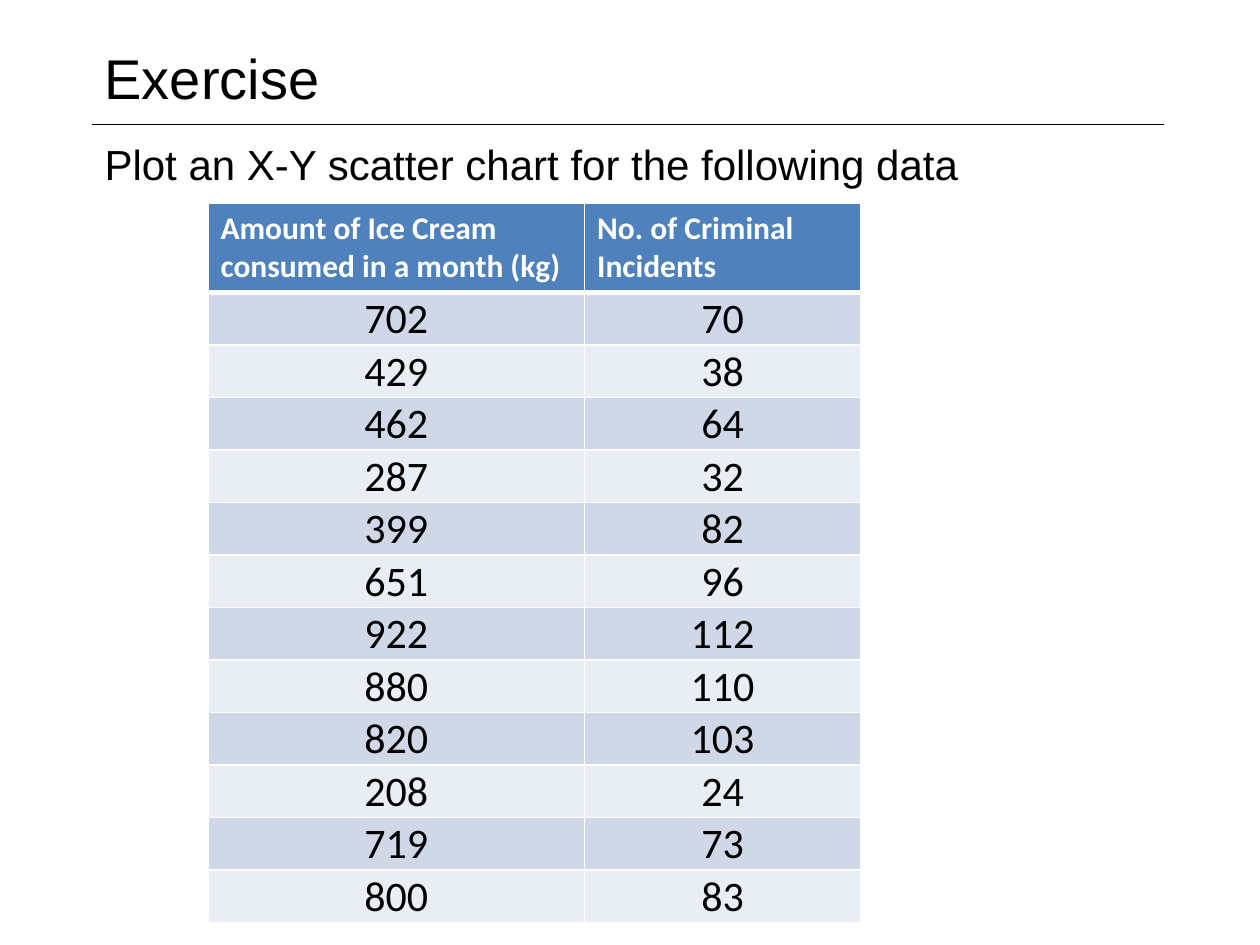
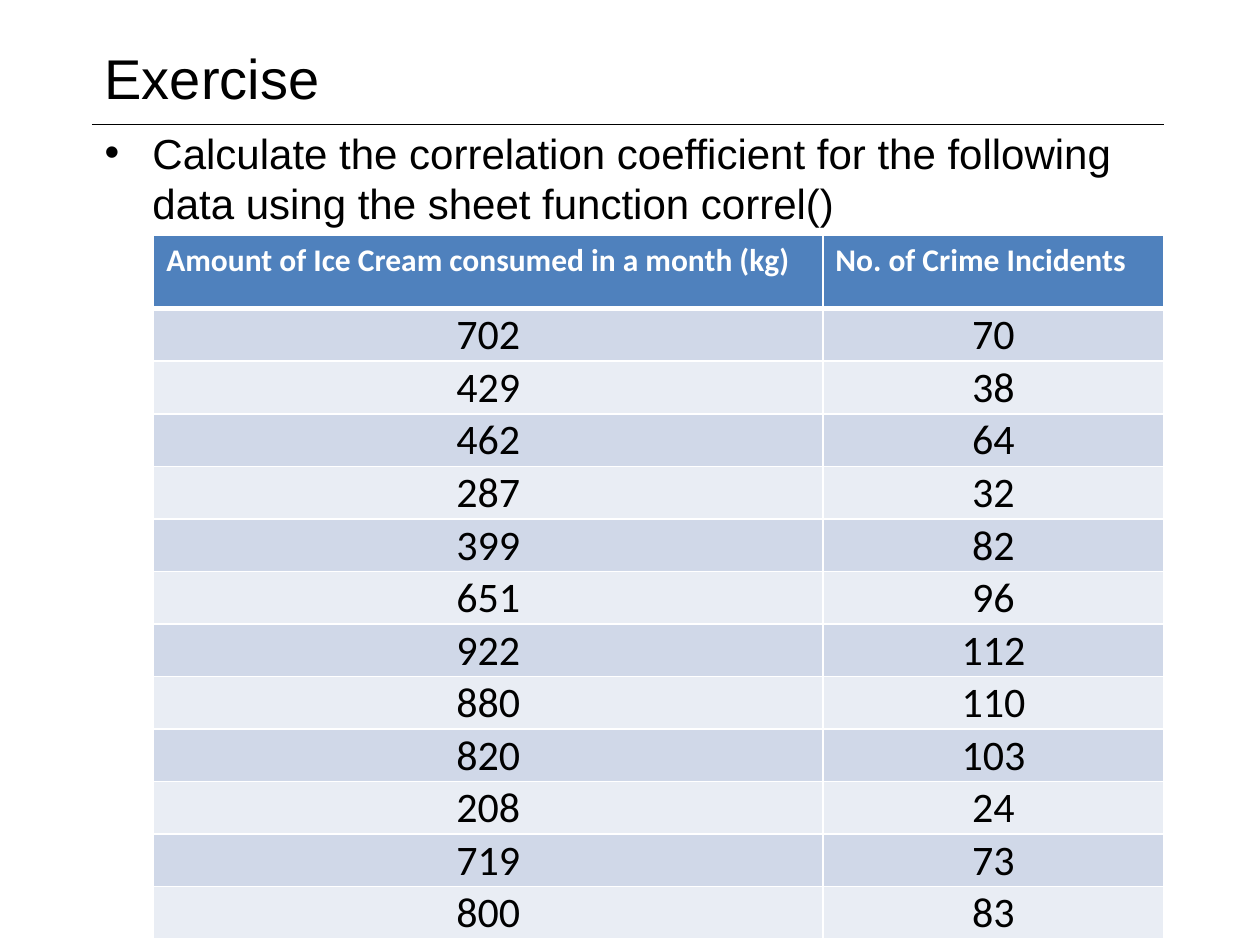
from dataclasses import dataclass

from lxml.etree import SubElement as Sub
from pptx import Presentation
from pptx.dml.color import RGBColor as RGB
from pptx.enum.shapes import MSO_CONNECTOR as Conn
from pptx.enum.text import MSO_ANCHOR as Anchor, MSO_AUTO_SIZE as Fit, PP_ALIGN as Align
from pptx.oxml.ns import qn
from pptx.util import Inches, Pt


@dataclass(frozen=True)
class Theme:
    ink: str = "000000"
    paper: str = "FFFFFF"
    head: str = "4F81BD"
    bands: tuple = ("D0D8E8", "E9EDF4")
    sans: str = "Arial"
    grid: str = "Calibri"
    title: int = 32
    body: int = 24
    label: int = 18
    rule: float = 0.25
    thin: int = 1
    thick: int = 3


T = Theme()
LEFT, RIGHT, RULE_Y = 0.73, 9.24, 0.99
ROW = 0.41

DATA = [
    (702, 70), (429, 38), (462, 64), (287, 32), (399, 82), (651, 96),
    (922, 112), (880, 110), (820, 103), (208, 24), (719, 73), (800, 83),
]


def write(frame, text, size, font=T.sans, color=T.ink, bold=False, align=Align.LEFT):
    para = frame.paragraphs[0]
    para.alignment = align
    run = para.add_run()
    run.text = text
    run.font.size = Pt(size)
    run.font.name = font
    run.font.bold = bold
    run.font.color.rgb = RGB.from_string(color)
    return para


def place(shape, left, top, width, height):
    shape.left, shape.top = Inches(left), Inches(top)
    shape.width, shape.height = Inches(width), Inches(height)


def add_rule(slide, layout):
    """Draw the line under the title and move it to the shared layout."""
    ends = [Inches(n) for n in (LEFT, RULE_Y, RIGHT, RULE_Y)]
    line = slide.shapes.add_connector(Conn.STRAIGHT, *ends)
    line.line.color.rgb = RGB.from_string(T.ink)
    line.line.width = Pt(T.rule)
    Sub(line.element.spPr, qn("a:effectLst"))
    layout.element.cSld.spTree.append(line.element)


def add_title(slide, text):
    title = slide.shapes.title
    place(title, LEFT, 0.28, 6.79, 0.66)
    title.text_frame.auto_size = Fit.NONE
    title.text_frame.vertical_anchor = Anchor.MIDDLE
    write(title.text_frame, text, T.title)


def add_body(slide, text, top, height, bullet=False):
    body = slide.placeholders[1]
    place(body, LEFT, top, RIGHT - LEFT, height)
    body.text_frame.auto_size = Fit.NONE
    para = write(body.text_frame, text, T.body)
    props = para._p.get_or_add_pPr()
    indent = Inches(0.38) if bullet else 0
    props.set("marL", str(indent))
    props.set("indent", str(-indent))
    if bullet:
        Sub(props, qn("a:buChar"), char="•")
    else:
        Sub(props, qn("a:buNone"))


def edge(cell, **widths):
    """Draw white cell borders; widths are points by side: L, R, T, B."""
    props = cell._tc.get_or_add_tcPr()
    for side, width in widths.items():
        line = Sub(props, qn(f"a:ln{side}"), w=str(Pt(width)))
        fill = Sub(line, qn("a:solidFill"))
        Sub(fill, qn("a:srgbClr"), val=T.paper)


def paint(cell, color, top, base):
    edge(cell, L=T.thin, R=T.thin, T=top, B=base)
    cell.fill.solid()
    cell.fill.fore_color.rgb = RGB.from_string(color)


def add_head(cell, text):
    paint(cell, T.head, T.thin, T.thick)
    write(cell.text_frame, text, T.label, font=T.grid, color=T.paper, bold=True)


def add_value(cell, value, row):
    paint(cell, T.bands[row % 2], T.thin if row else T.thick, T.thin)
    cell.margin_left = cell.margin_right = cell.margin_top = Inches(0.01)
    cell.margin_bottom = 0
    cell.vertical_anchor = Anchor.BOTTOM
    write(cell.text_frame, str(value), T.body, font=T.grid, align=Align.CENTER)


def add_grid(slide, heads, left, top, widths, head):
    size = (sum(widths), head + ROW * len(DATA))
    box = [Inches(n) for n in (left, top, *size)]
    table = slide.shapes.add_table(len(DATA) + 1, len(heads), *box).table
    for col, width in enumerate(widths):
        table.columns[col].width = Inches(width)
        add_head(table.cell(0, col), heads[col])
    table.rows[0].height = Inches(head)
    for row, values in enumerate(DATA):
        table.rows[row + 1].height = Inches(ROW)
        for col, value in enumerate(values):
            add_value(table.cell(row + 1, col), value, row)


def main():
    prs = Presentation()
    prs.slide_width, prs.slide_height = Inches(10), Inches(7.5)
    layout = prs.slide_layouts[1]
    amount = "Amount of Ice Cream consumed in a month (kg)"

    plot = prs.slides.add_slide(layout)
    add_rule(plot, layout)
    add_title(plot, "Exercise")
    add_body(plot, "Plot an X-Y scatter chart for the following data", 1.05, 0.84)
    add_grid(plot, (amount, "No. of Criminal Incidents"),
             left=1.65, top=1.61, widths=(2.99, 2.19), head=0.69)

    correl = prs.slides.add_slide(layout)
    add_title(correl, "Exercise")
    add_body(correl, "Calculate the correlation coefficient for the following data "
             "using the sheet function correl()", 0.96, 1.35, bullet=True)
    add_grid(correl, (amount, "No. of Crime Incidents"),
             left=1.22, top=1.87, widths=(5.31, 2.71), head=0.58)

    prs.save("out.pptx")


if __name__ == "__main__":
    main()
